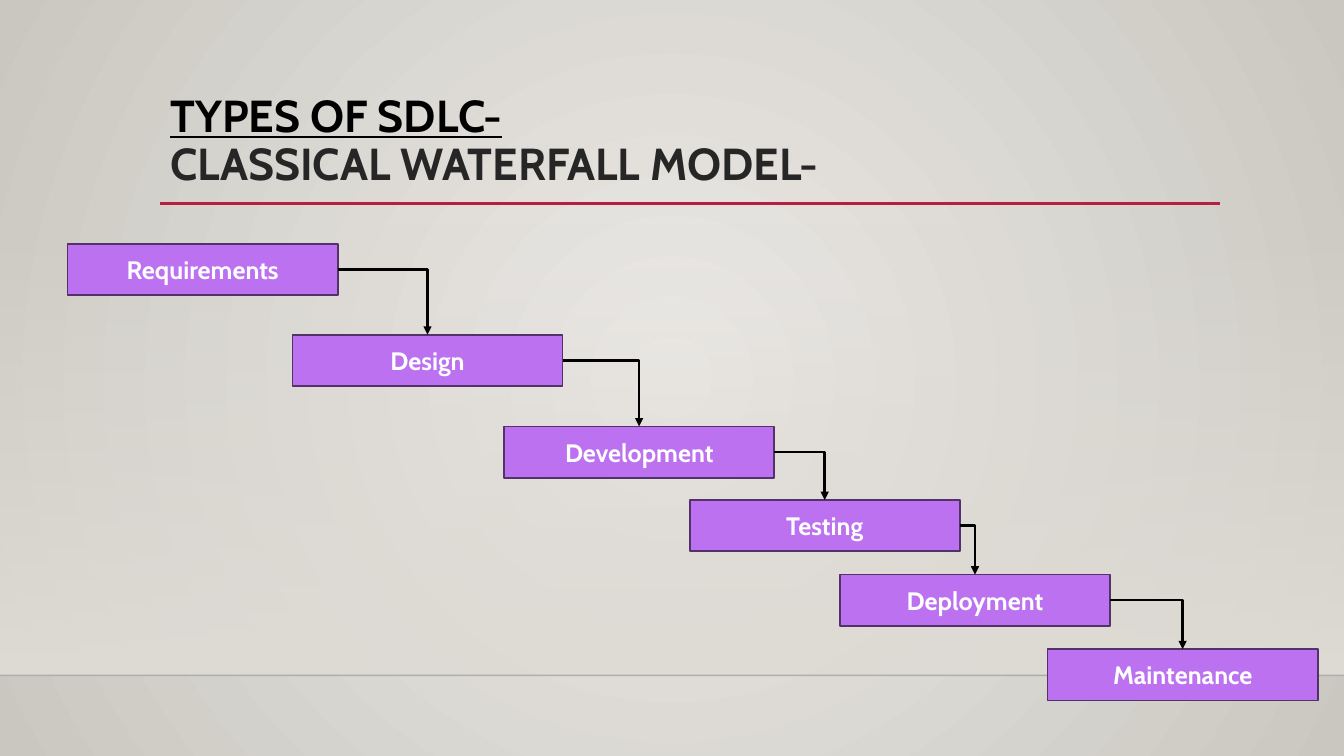
from dataclasses import dataclass

from lxml import etree
from pptx import Presentation
from pptx.dml.color import RGBColor
from pptx.enum.shapes import MSO_CONNECTOR, MSO_SHAPE
from pptx.enum.text import MSO_ANCHOR, MSO_AUTO_SIZE, PP_ALIGN
from pptx.oxml import parse_xml
from pptx.oxml.ns import nsdecls, qn
from pptx.util import Inches, Pt


@dataclass(frozen=True)
class Theme:
    font: str = "Cabin"
    title_size: int = 32
    step_size: int = 18
    glow: str = "ECEAE7"
    edge: str = "CAC7C1"
    floor: str = "DFDBD5"
    black: str = "000000"
    title: str = "262626"
    accent: str = "B71E42"
    step: str = "BC72F0"
    step_line: str = "523269"
    white: str = "FFFFFF"


theme = Theme()


def apply_gradient(fill, parent, stops, direction):
    """Give parent a gradient with (position, colour, opacity) stops."""
    fill.gradient()
    stop_xml = "".join(
        f'<a:gs pos="{position * 1000}"><a:srgbClr val="{colour}">'
        f'<a:alpha val="{opacity * 1000}"/></a:srgbClr></a:gs>'
        for position, colour, opacity in stops)
    gradient = parse_xml(f'<a:gradFill {nsdecls("a")} rotWithShape="1">'
                         f'<a:gsLst>{stop_xml}</a:gsLst>{direction}</a:gradFill>')
    default = next(parent.iter(qn("a:gradFill")))
    default.getparent().replace(default, gradient)


def add_line(kind, start, end, colour, width):
    """Draw a shadowless connector between two points in inches."""
    line = slide.shapes.add_connector(kind, *map(Inches, start + end))
    line.line.color.rgb = RGBColor.from_string(colour)
    line.line.width = Pt(width)
    etree.SubElement(line._element.spPr, qn("a:effectLst"))
    return line


prs = Presentation()
prs.slide_width, prs.slide_height = Inches(13.33), Inches(7.5)
slide = prs.slides.add_slide(prs.slide_layouts[5])

# Background glow
apply_gradient(
    slide.background.fill, slide._element,
    [(0, theme.glow, 100), (100, theme.edge, 100)],
    '<a:path path="circle"><a:fillToRect l="50000" t="50000" r="50000" b="50000"/></a:path>')

# Wall fading down to the floor line
wall = slide.shapes.add_shape(MSO_SHAPE.RECTANGLE, 0, Inches(2.21), Inches(13.33), Inches(4.49))
wall.shadow.inherit = False
wall.line.fill.background()
apply_gradient(wall.fill, wall._element, [(0, theme.floor, 0), (100, theme.floor, 100)],
               '<a:lin ang="5400000" scaled="0"/>')
floor_line = add_line(MSO_CONNECTOR.STRAIGHT, (0, 6.7), (13.33, 6.7), theme.black, 1)
floor_colour = next(floor_line._element.spPr.iter(qn("a:srgbClr")))
etree.SubElement(floor_colour, qn("a:alpha"), val="20000")

# Title and its rule
add_line(MSO_CONNECTOR.STRAIGHT, (1.59, 2.02), (12.1, 2.02), theme.accent, 2.5)
title = slide.shapes.title
title.left, title.top, title.width, title.height = map(Inches, (1.59, 0.88, 10.5, 1.15))
title.text_frame.vertical_anchor = MSO_ANCHOR.TOP
title.text_frame.auto_size = MSO_AUTO_SIZE.NONE
heading = title.text_frame.paragraphs[0]
heading.alignment = PP_ALIGN.LEFT
heading.line_spacing = 0.9
heading.font.name, heading.font.size, heading.font.bold = theme.font, Pt(theme.title_size), True
topic = heading.add_run()
topic.text = "TYPES OF SDLC-"
topic.font.underline = True
topic.font.color.rgb = RGBColor.from_string(theme.black)
heading.add_line_break()
model = heading.add_run()
model.text = "CLASSICAL WATERFALL MODEL-"
model.font.color.rgb = RGBColor.from_string(theme.title)

# Waterfall steps
STEP_WIDTH, STEP_HEIGHT = 2.68, 0.51
phases = [
    ("Requirements", 0.67, 2.42),
    ("Design", 2.9, 3.32),
    ("Development", 5, 4.23),
    ("Testing", 6.84, 4.96),
    ("Deployment", 8.33, 5.7),
    ("Maintenance", 10.39, 6.44),
]
steps = []
for phase, left, top in phases:
    step = slide.shapes.add_shape(MSO_SHAPE.RECTANGLE, Inches(left), Inches(top),
                                  Inches(STEP_WIDTH), Inches(STEP_HEIGHT))
    step.shadow.inherit = False
    step.fill.solid()
    step.fill.fore_color.rgb = RGBColor.from_string(theme.step)
    step.line.color.rgb = RGBColor.from_string(theme.step_line)
    step.line.width = Pt(1.25)
    step.text_frame.vertical_anchor = MSO_ANCHOR.MIDDLE
    label = step.text_frame.paragraphs[0]
    label.text = phase
    label.alignment = PP_ALIGN.CENTER
    label.font.name, label.font.size, label.font.bold = theme.font, Pt(theme.step_size), True
    label.font.color.rgb = RGBColor.from_string(theme.white)
    steps.append(step)

# Arrows from the right side of each step to the top of the next
RIGHT_SITE, TOP_SITE = 3, 0
for upper, lower in zip(steps, steps[1:]):
    flow = add_line(MSO_CONNECTOR.ELBOW, (0, 0), (1, 1), theme.black, 1.75)
    flow.begin_connect(upper, RIGHT_SITE)
    flow.end_connect(lower, TOP_SITE)
    flow._element.spPr.find(qn("a:prstGeom")).set("prst", "bentConnector2")
    etree.SubElement(flow.line._get_or_add_ln(), qn("a:tailEnd"), type="triangle")

prs.save("out.pptx")
